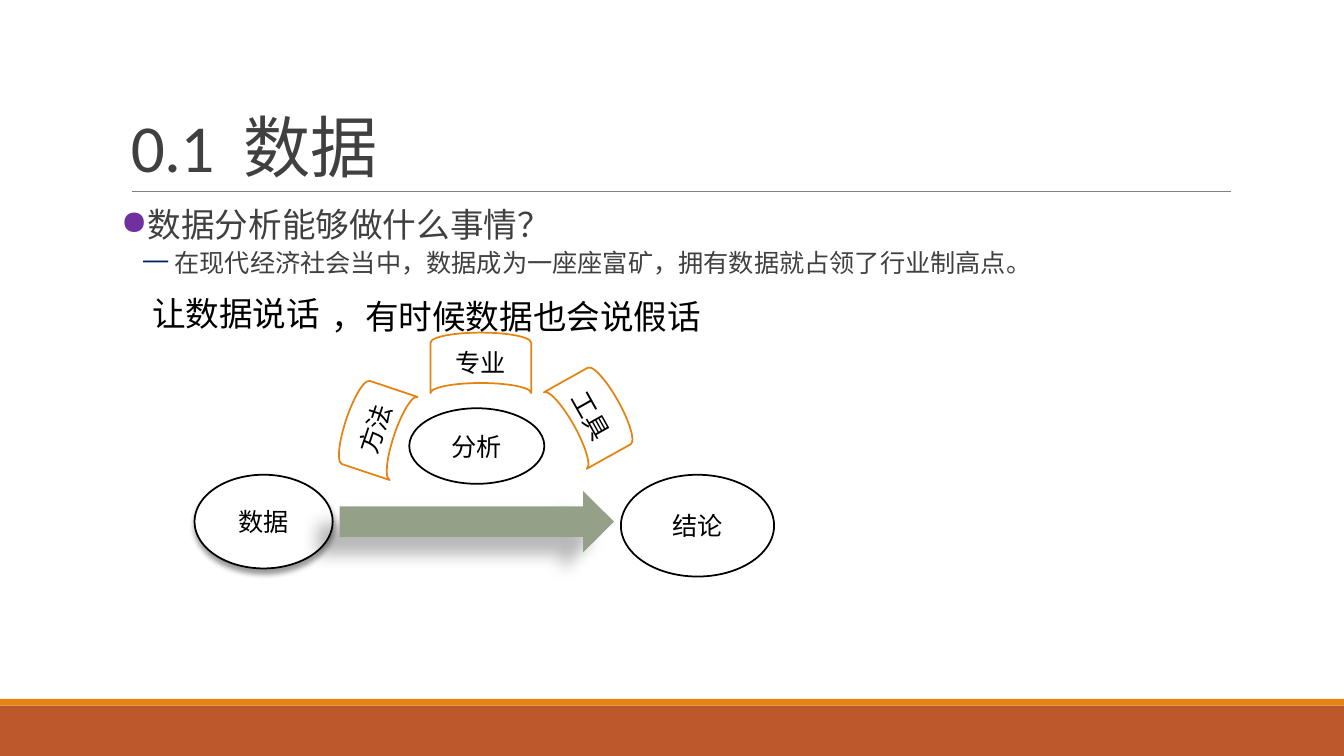
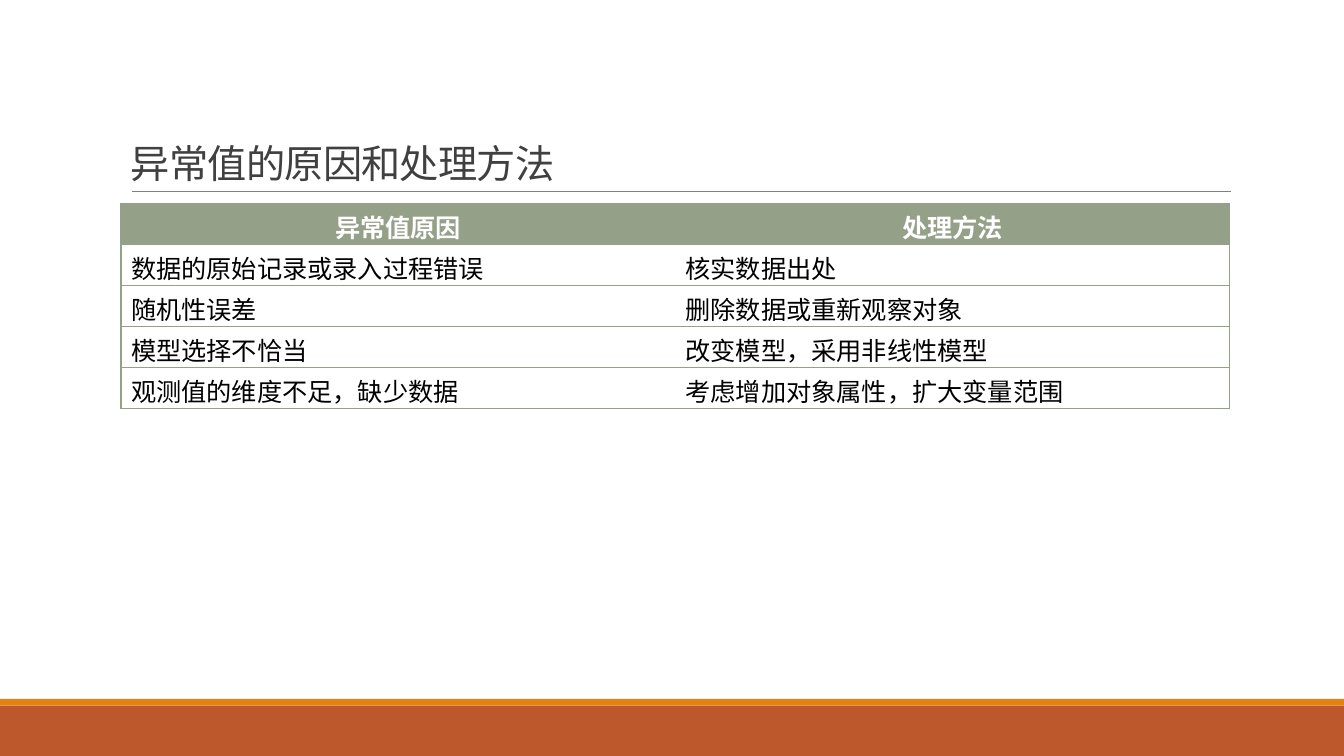
from dataclasses import dataclass

from lxml import etree
from pptx import Presentation
from pptx import util as u
from pptx.dml.color import RGBColor
from pptx.enum import shapes, text
from pptx.oxml.ns import qn

RUST = RGBColor(0xBD, 0x58, 0x2C)
ORANGE = RGBColor(0xE4, 0x83, 0x12)
SAGE = RGBColor(0x94, 0xA0, 0x88)
GRAY = RGBColor(0x80, 0x80, 0x80)
INK = RGBColor(0x40, 0x40, 0x40)
BLACK = RGBColor(0, 0, 0)
WHITE = RGBColor(0xFF, 0xFF, 0xFF)
PURPLE = RGBColor(0x70, 0x30, 0xA0)
NAVY = RGBColor(0x00, 0x20, 0x60)

COLUMNS, ROWS = 80, 45
WIDTH, HEIGHT = u.Inches(13.33), u.Inches(7.5)
SHAPE = shapes.MSO_SHAPE
CENTER = text.PP_ALIGN.CENTER


@dataclass
class Box:
    """A region measured in columns and rows of the slide grid."""
    x: float
    y: float
    w: float
    h: float

    def inside(self, x, y, w, h):
        return Box(self.x + x, self.y + y, w, h)

    def emu(self):
        return (int(self.x * WIDTH / COLUMNS), int(self.y * HEIGHT / ROWS),
                int(self.w * WIDTH / COLUMNS), int(self.h * HEIGHT / ROWS))


SLIDE = Box(0, 0, COLUMNS, ROWS)
TITLE = Box(7.2, 1.86, 66, 9.54)
CONTENT = Box(7.2, 12.12, 66, 26.4)
CAPTIONS = Box(8.46, 17.16, 34.08, 3.18)
DIAGRAM = Box(11.58, 18, 34.5, 16.32)


def child(parent, tag, **attributes):
    return etree.SubElement(parent, qn(tag), attributes)


def solid(parent, color):
    return child(child(parent, "a:solidFill"), "a:srgbClr", val=str(color))


def add_run(paragraph, words, size, color, font="Calibri", bold=False, spacing=None):
    run = paragraph.add_run()
    run.text = words
    run.font.size = u.Pt(size)
    run.font.name = font
    run.font.bold = bold
    run.font.color.rgb = color
    if spacing is not None:
        run.font._element.set("spc", str(round(spacing * 100)))


def add_text(slide, box, wrap=True):
    frame = slide.shapes.add_textbox(*box.emu()).text_frame
    frame.word_wrap = wrap
    return frame


def add_figure(slide, kind, box, fill, line=None, label="", turn=0, shadow=None):
    figure = slide.shapes.add_shape(kind, *box.emu())
    figure.rotation = turn
    figure.fill.solid()
    figure.fill.fore_color.rgb = fill
    if line is None:
        figure.line.fill.background()
    else:
        figure.line.color.rgb = line
        figure.line.width = u.Pt(1.25)
    figure.shadow.inherit = False
    if shadow:
        opacity, blur, distance, angle = shadow
        effects = figure._element.spPr.find(qn("a:effectLst"))
        outer = child(effects, "a:outerShdw", blurRad=str(u.Pt(blur)),
                      dist=str(u.Pt(distance)), dir=str(angle * 60000),
                      algn="ctr", rotWithShape="0")
        child(child(outer, "a:srgbClr", val=str(BLACK)), "a:alpha", val=str(opacity * 1000))
    if label:
        frame = figure.text_frame
        frame.vertical_anchor = text.MSO_ANCHOR.MIDDLE
        frame.paragraphs[0].alignment = CENTER
        add_run(frame.paragraphs[0], label, 18, BLACK)
    return figure


def add_frame(deck, title_runs, size):
    """Blank slide with the shared bands, title and rule."""
    slide = deck.slides.add_slide(deck.slide_layouts[6])
    # Footer bands
    for top, height, color in ((42, 3, RUST), (41.6, 0.4, ORANGE)):
        add_figure(slide, SHAPE.RECTANGLE, SLIDE.inside(0, top, COLUMNS, height), color)
    # Rule under the title
    left, top, width, _ = TITLE.inside(0.66, TITLE.h, 65.4, 0).emu()
    rule = slide.shapes.add_connector(shapes.MSO_CONNECTOR.STRAIGHT,
                                      left, top, left + width, top)
    rule.line.color.rgb = GRAY
    rule.line.width = u.Pt(0.5)
    child(rule._element.spPr, "a:effectLst")
    # Title
    frame = add_text(slide, TITLE)
    frame.vertical_anchor = text.MSO_ANCHOR.BOTTOM
    frame.paragraphs[0].line_spacing = 0.85
    for words, spacing in title_runs:
        add_run(frame.paragraphs[0], words, size, INK, spacing=spacing)
    return slide


def add_bullets(slide, box, points):
    frame = add_text(slide, box)
    frame.margin_left = frame.margin_right = 0
    for index, (mark, mark_color, margin, hanging, words, size, font, after) in enumerate(points):
        paragraph = frame.add_paragraph() if index else frame.paragraphs[0]
        paragraph.line_spacing = 0.9
        paragraph.space_before = u.Pt(2 if index else 0)
        paragraph.space_after = u.Pt(after)
        properties = paragraph._p.get_or_add_pPr()
        properties.set("marL", str(u.Inches(margin)))
        properties.set("indent", str(-u.Inches(hanging)))
        child(child(properties, "a:buClr"), "a:srgbClr", val=str(mark_color))
        child(properties, "a:buChar", char=mark)
        add_run(paragraph, words, size, INK, font)


def add_captions(slide, box):
    for x, y, width, words in ((0, 0, 11.28, "让数据说话"),
                               (10.68, 0.18, 23.4, "，有时候数据也会说假话")):
        frame = add_text(slide, box.inside(x, y, width, 3), wrap=False)
        add_run(frame.paragraphs[0], words, 24, BLACK)


def add_analysis_diagram(slide, box):
    # Data, conclusion, the arrow between them and the analysis above it
    add_figure(slide, SHAPE.OVAL, box.inside(0, 10.26, 8.22, 5.58),
               WHITE, BLACK, "数据", shadow=(40, 4, 3, 90))
    add_figure(slide, SHAPE.OVAL, box.inside(25.38, 10.26, 9.12, 6.06), WHITE, BLACK, "结论")
    add_figure(slide, SHAPE.RIGHT_ARROW, box.inside(8.64, 11.22, 16.32, 3.66),
               SAGE, shadow=(28, 11.8, 19.7, 141))
    add_figure(slide, SHAPE.OVAL, box.inside(12.78, 6.3, 8.04, 4.5), WHITE, BLACK, "分析")
    # Supports fanned around the analysis
    for label, x, y, height, turn in (("方法", 8.94, 4.92, 5.22, 18.5),
                                      ("专业", 15.24, 0.6, 6, 90),
                                      ("工具", 21.84, 4.14, 5.22, 150.8)):
        support = add_figure(slide, SHAPE.FLOWCHART_STORED_DATA, box.inside(x, y, 3.6, height),
                             WHITE, ORANGE, label, turn)
        support.text_frame._txBody.bodyPr.set("vert", "vert270")


def set_borders(cell, sides):
    properties = cell._tc.get_or_add_tcPr()
    for side in "LRTB":
        border = child(properties, "a:ln" + side, w=str(u.Pt(1)))
        if side in sides:
            solid(border, SAGE)
        else:
            child(border, "a:noFill")


def add_remedy_table(slide, box, rows):
    table = slide.shapes.add_table(len(rows), 2, *box.emu()).table
    table.horz_banding = False
    for r, row in enumerate(rows):
        for c, words in enumerate(row):
            cell = table.cell(r, c)
            set_borders(cell, "TB" + "LR"[c])
            cell.fill.solid()
            cell.fill.fore_color.rgb = WHITE if r else SAGE
            paragraph = cell.text_frame.paragraphs[0]
            if r == 0:
                paragraph.alignment = CENTER
            add_run(paragraph, words, 18, BLACK if r else WHITE, bold=r == 0)


def build_data_slide(deck):
    slide = add_frame(deck, [("0.1", -0.5), (" ", 10), ("数据", -0.5)], 48)
    add_bullets(slide, CONTENT, [
        ("●", PURPLE, 0.1, 0.1, "数据分析能够做什么事情？", 24, "Arial", 2),
        ("—", NAVY, 0.53, 0.31,
         "在现代经济社会当中，数据成为一座座富矿，拥有数据就占领了行业制高点。", 18, "Calibri", 4),
    ])
    add_analysis_diagram(slide, DIAGRAM)
    add_captions(slide, CAPTIONS)


def build_outlier_slide(deck):
    slide = add_frame(deck, [("异常值的原因和处理方法", -0.5)], 28)
    add_remedy_table(slide, CONTENT.inside(0, 0, CONTENT.w, 12.18), [
        ("异常值原因", "处理方法"),
        ("数据的原始记录或录入过程错误", "核实数据出处"),
        ("随机性误差", "删除数据或重新观察对象"),
        ("模型选择不恰当", "改变模型，采用非线性模型"),
        ("观测值的维度不足，缺少数据", "考虑增加对象属性，扩大变量范围"),
    ])


def main():
    deck = Presentation()
    deck.slide_width, deck.slide_height = WIDTH, HEIGHT
    build_data_slide(deck)
    build_outlier_slide(deck)
    deck.save("out.pptx")


if __name__ == "__main__":
    main()
